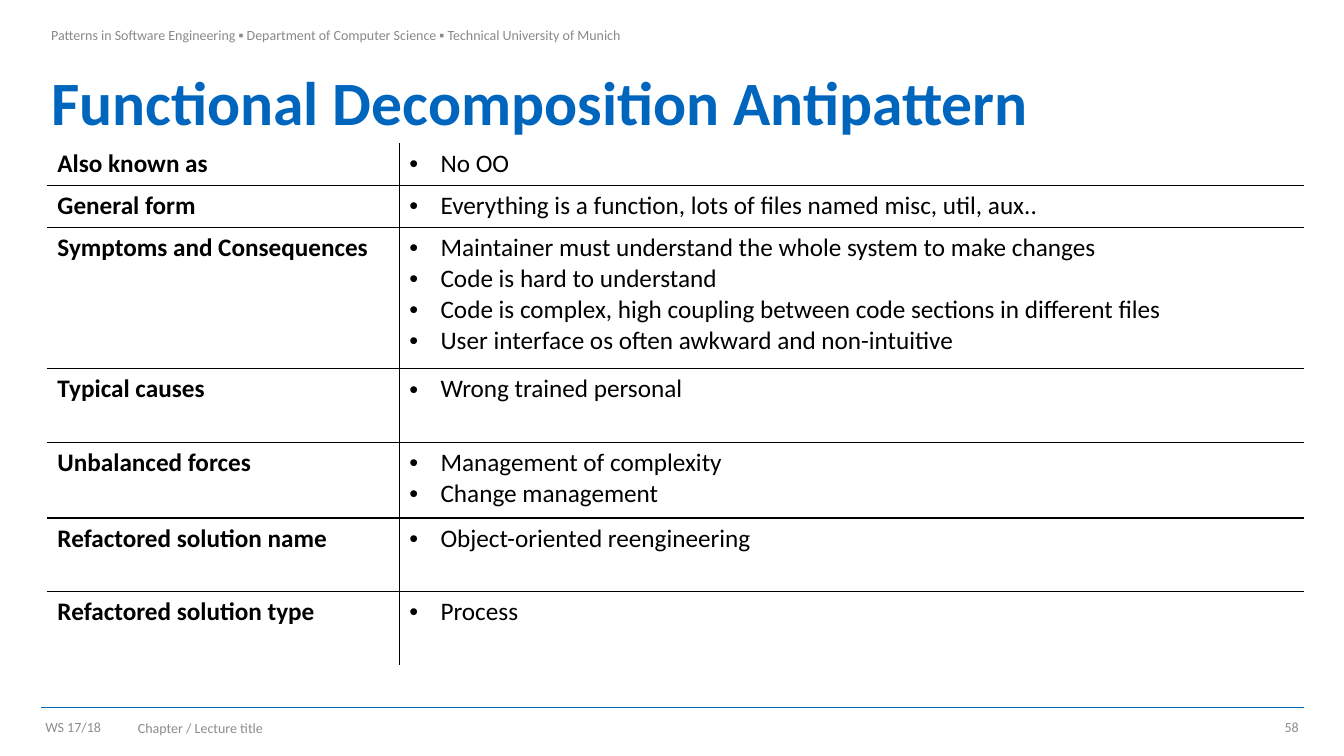
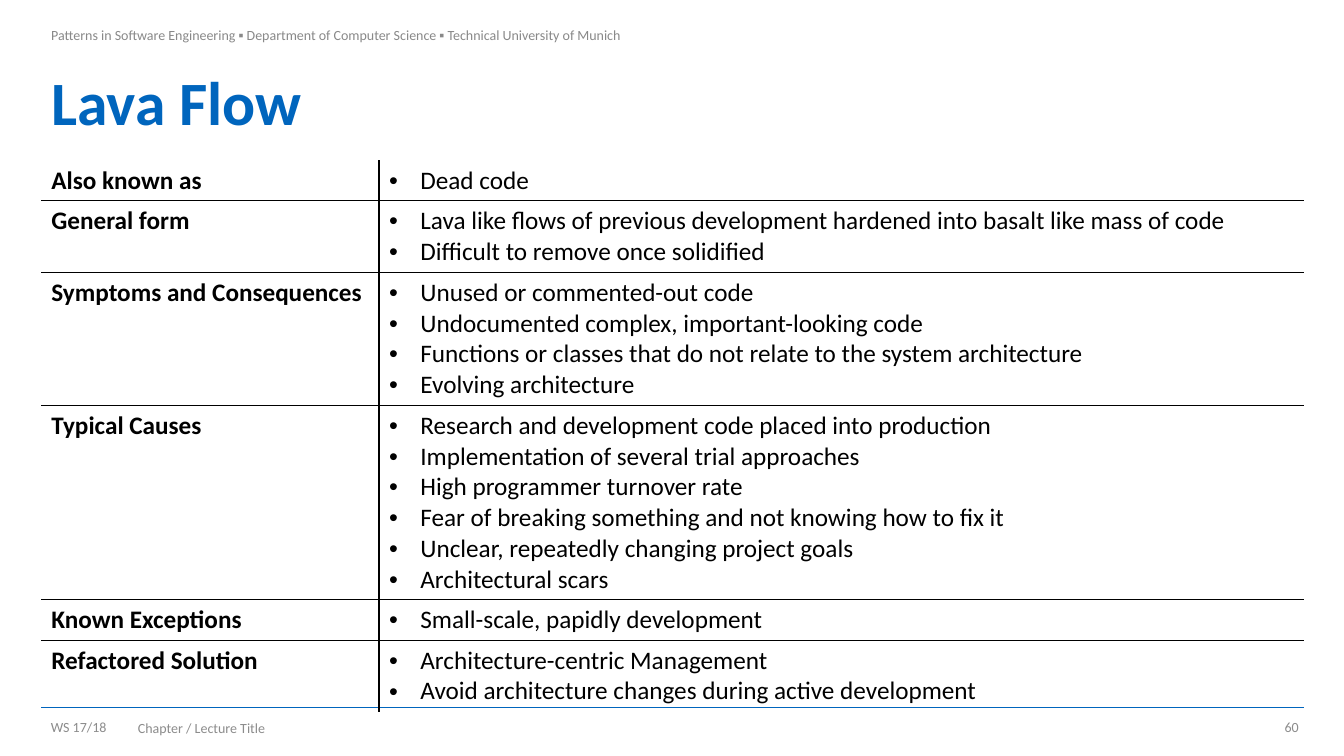
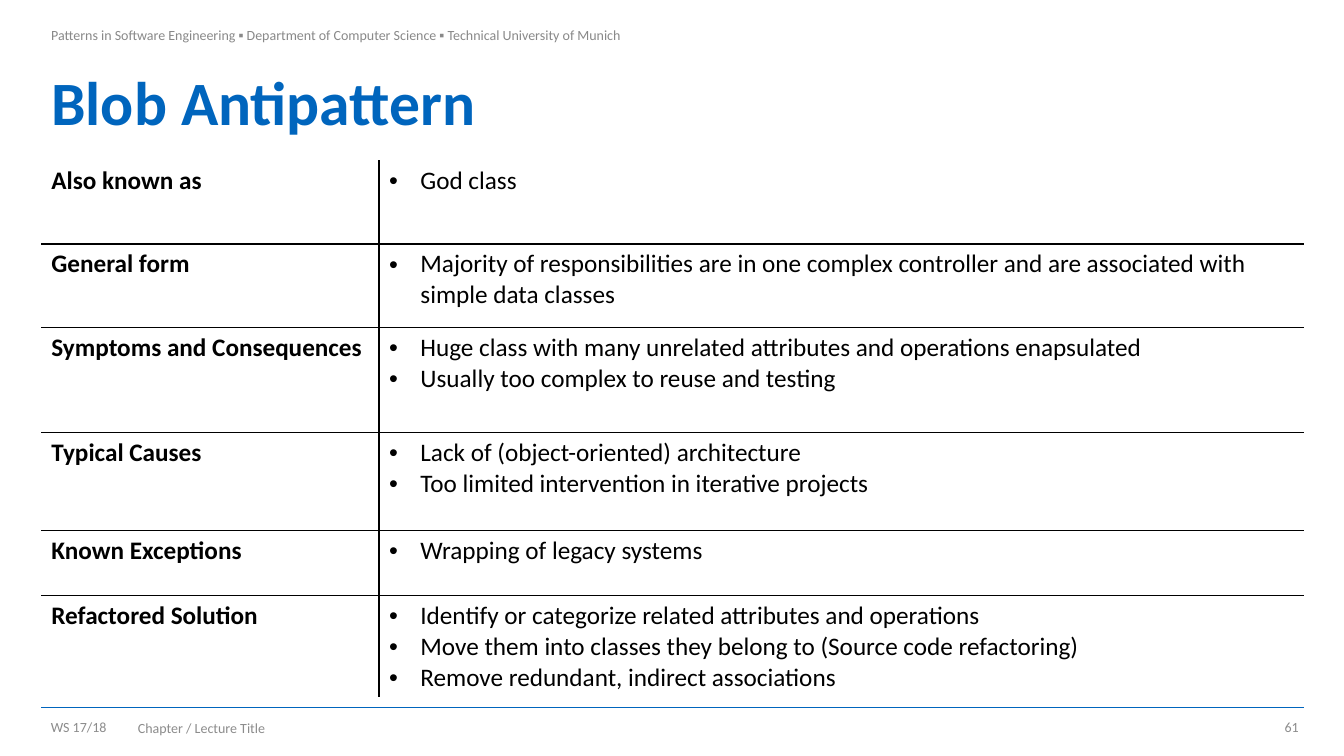
from lxml.etree import SubElement
from pptx import Presentation
from pptx.dml.color import RGBColor
from pptx.enum.shapes import MSO_CONNECTOR as Connector
from pptx.enum.text import MSO_ANCHOR as Anchor, MSO_AUTO_SIZE as AutoSize, PP_ALIGN as Align
from pptx.oxml.ns import qn
from pptx.util import Pt

PX = 9144  # EMU in one px, 100 px to the inch
FONT = "Calibri"
COLORS = {"title": "0065BD", "rule": "0065BD", "header": "898989",
          "footer": "8C8C8C", "text": "000000", "grid": "000000"}
COURSE = ("Patterns in Software Engineering ▪ Department of Computer Science"
          " ▪ Technical University of Munich")
LEFT, WIDTH = 41, 1252
PLAIN_TABLE = "{2D5ABB26-0587-4C30-8999-92F81FD0307C}"


def px(length):
    return length * PX


class Deck:
    def __init__(self):
        self.prs = Presentation()
        self.prs.slide_width, self.prs.slide_height = px(1333), px(750)
        self.slide = None

    def style(self, paragraph, size, color, bold=False):
        for run in paragraph.runs:
            run.font.name, run.font.size, run.font.bold = FONT, Pt(size), bold
            run.font.color.rgb = RGBColor.from_string(COLORS[color])

    def text(self, box, words, color, align=Align.LEFT, anchor=Anchor.MIDDLE, side=10, top=5):
        label = self.slide.shapes.add_textbox(*map(px, box))
        frame = label.text_frame
        frame.word_wrap, frame.vertical_anchor = True, anchor
        frame.margin_left = frame.margin_right = px(side)
        frame.margin_top, frame.margin_bottom = px(top), px(5)
        frame.text = words
        frame.paragraphs[0].alignment = align
        self.style(frame.paragraphs[0], 10, color)

    def title(self, words):
        heading = self.slide.shapes.title
        heading.left, heading.top, heading.width, heading.height = map(px, (LEFT, 68, WIDTH, 74))
        frame = heading.text_frame
        frame.text = words
        frame.word_wrap, frame.auto_size = True, AutoSize.NONE
        frame.vertical_anchor = Anchor.MIDDLE
        line = frame.paragraphs[0]
        line.alignment, line.line_spacing = Align.LEFT, 0.9
        self.style(line, 44, "title", bold=True)

    def rule(self, y):
        line = self.slide.shapes.add_connector(
            Connector.STRAIGHT, px(LEFT), px(y), px(LEFT + WIDTH), px(y))
        line.line.color.rgb = RGBColor.from_string(COLORS["rule"])
        line.line.width = Pt(0.5)
        SubElement(line._element.spPr, qn("a:effectLst"))

    def page(self, title, number, chapter, term_align):
        self.slide = self.prs.slides.add_slide(self.prs.slide_layouts[5])
        self.rule(702)
        self.text((LEFT, 0, 627, 68), COURSE, "header", anchor=Anchor.TOP, top=26)
        self.title(title)
        self.text((LEFT, 710, 74, 23), "WS 17/18", "footer", term_align, side=4)
        self.text((1233, 710, 59, 23), str(number), "footer", Align.RIGHT, side=4)
        self.text((127, 710, 861, 24), chapter, "footer")

    def bullet(self, paragraph):
        props = paragraph._p.get_or_add_pPr()
        props.set("marL", str(px(31)))
        props.set("indent", str(px(-31)))
        SubElement(props, qn("a:buFont"), typeface="Arial")
        SubElement(props, qn("a:buChar"), char="•")

    def borders(self, cell, **shown):
        props = cell._tc.get_or_add_tcPr()
        for side in "LRTB":
            line = SubElement(props, qn("a:ln" + side), w=str(Pt(1)))
            if shown[side]:
                fill = SubElement(line, qn("a:solidFill"))
                SubElement(fill, qn("a:srgbClr"), val=COLORS["grid"])
            else:
                SubElement(line, qn("a:noFill"))
        cell.fill.background()

    def table(self, left, top, columns, rows):
        """Each row is (height, heading, points); only inner borders show."""
        frame = self.slide.shapes.add_table(
            len(rows), 2, px(left), px(top), px(sum(columns)), px(sum(row[0] for row in rows)))
        grid = frame.table
        grid.first_row = grid.horz_banding = False
        grid._tbl.tblPr.find(qn("a:tableStyleId")).text = PLAIN_TABLE
        for column, width in zip(grid.columns, columns):
            column.width = px(width)
        for i, (height, heading, points) in enumerate(rows):
            grid.rows[i].height = px(height)
            for j, words in enumerate((heading, "\n".join(points))):
                cell = grid.cell(i, j)
                cell.text_frame.text = words
                for paragraph in cell.text_frame.paragraphs:
                    self.style(paragraph, 18, "text", bold=j == 0)
                    if j == 1:
                        self.bullet(paragraph)
                self.borders(cell, L=j == 1, R=j == 0, T=i > 0, B=i < len(rows) - 1)


def main():
    deck = Deck()

    # Functional decomposition
    deck.page("Functional Decomposition Antipattern", 58, "Chapter / Lecture title", Align.LEFT)
    deck.table(47, 142, (349, 897), [
        (42, "Also known as", ["No OO"]),
        (42, "General form", ["Everything is a function, lots of files named misc, util, aux.."]),
        (140, "Symptoms and Consequences", [
            "Maintainer must understand the whole system to make changes",
            "Code is hard to understand",
            "Code is complex, high coupling between code sections in different files",
            "User interface os often awkward and non-intuitive"]),
        (73, "Typical causes", ["Wrong trained personal"]),
        (75, "Unbalanced forces", ["Management of complexity", "Change management"]),
        (73, "Refactored solution name", ["Object-oriented reengineering"]),
        (73, "Refactored solution type", ["Process"]),
    ])

    # Lava flow
    deck.page("Lava Flow", 60, "Chapter / Lecture Title", Align.CENTER)
    deck.table(LEFT, 159, (335, 917), [
        (40, "Also known as", ["Dead code"]),
        (71, "General form", [
            "Lava like flows of previous development hardened into basalt like mass of code",
            "Difficult to remove once solidified"]),
        (132, "Symptoms and Consequences", [
            "Unused or commented-out code",
            "Undocumented complex, important-looking code",
            "Functions or classes that do not relate to the system architecture",
            "Evolving architecture"]),
        (193, "Typical Causes", [
            "Research and development code placed into production",
            "Implementation of several trial approaches",
            "High programmer turnover rate",
            "Fear of breaking something and not knowing how to fix it",
            "Unclear, repeatedly changing project goals",
            "Architectural scars"]),
        (40, "Known Exceptions", ["Small-scale, papidly development"]),
        (71, "Refactored Solution", [
            "Architecture-centric Management",
            "Avoid architecture changes during active development"]),
    ])

    # Blob
    deck.page("Blob Antipattern", 61, "Chapter / Lecture Title", Align.CENTER)
    deck.table(LEFT, 159, (335, 917), [
        (83, "Also known as", ["God class"]),
        (83, "General form", [
            "Majority of responsibilities are in one complex controller and are associated with"
            " simple data classes"]),
        (104, "Symptoms and Consequences", [
            "Huge class with many unrelated attributes and operations enapsulated",
            "Usually too complex to reuse and testing"]),
        (97, "Typical Causes", [
            "Lack of (object-oriented) architecture",
            "Too limited intervention in iterative projects"]),
        (65, "Known Exceptions", ["Wrapping of legacy systems"]),
        (101, "Refactored Solution", [
            "Identify or categorize related attributes and operations",
            "Move them into classes they belong to (Source code refactoring)",
            "Remove redundant, indirect associations"]),
    ])

    deck.prs.save("out.pptx")


if __name__ == "__main__":
    main()
